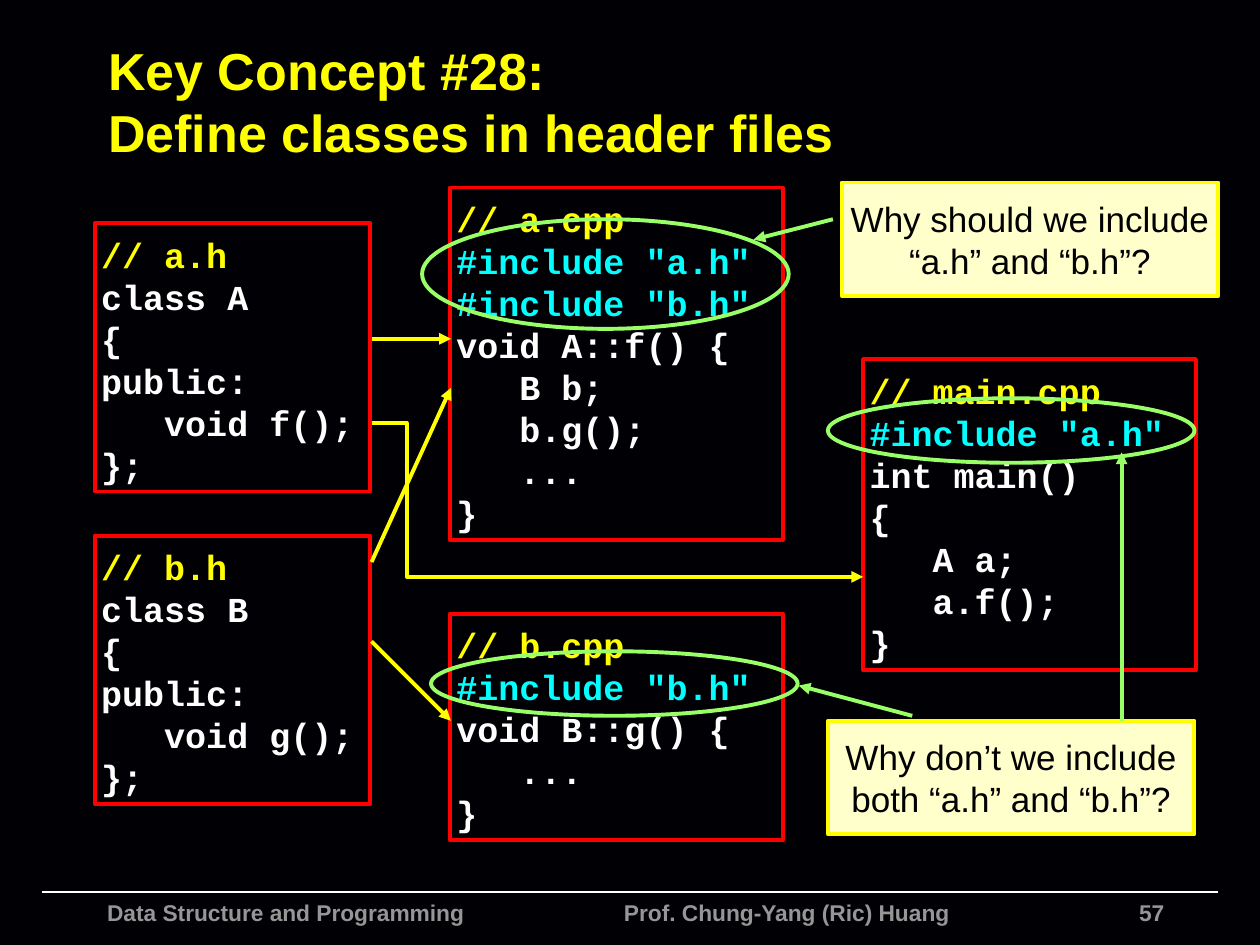
from dataclasses import dataclass

from lxml import etree
from pptx import Presentation
from pptx.dml.color import RGBColor
from pptx.enum.shapes import MSO_CONNECTOR, MSO_SHAPE
from pptx.enum.text import MSO_ANCHOR, PP_ALIGN
from pptx.oxml.ns import qn
from pptx.util import Cm, Pt

RECTANGLE, ELLIPSE = MSO_SHAPE.RECTANGLE, MSO_SHAPE.OVAL
STRAIGHT = MSO_CONNECTOR.STRAIGHT
TOP, MIDDLE, BOTTOM = MSO_ANCHOR.TOP, MSO_ANCHOR.MIDDLE, MSO_ANCHOR.BOTTOM
LEFT, CENTER, RIGHT = PP_ALIGN.LEFT, PP_ALIGN.CENTER, PP_ALIGN.RIGHT


@dataclass(frozen=True)
class Theme:
    background: str = "010004"
    yellow: str = "FFFF00"
    white: str = "FFFFFF"
    cyan: str = "00FFFF"
    red: str = "FF0000"
    green: str = "99FF66"
    cream: str = "FFFFCC"
    black: str = "000000"
    gray: str = "969696"
    sans: str = "Arial"
    mono: str = "Courier New"
    title_size: float = 29.7
    body_size: float = 20
    footer_size: float = 13
    title_pitch: float = 35.5
    body_pitch: float = 24
    outline: float = 2.25


THEME = Theme()


@dataclass(frozen=True)
class Box:
    """Left, top, width and height in centimetres."""
    left: float
    top: float
    width: float
    height: float

    def lengths(self) -> tuple:
        return Cm(self.left), Cm(self.top), Cm(self.width), Cm(self.height)


@dataclass(frozen=True)
class CodeFile:
    box: Box
    code: str


@dataclass(frozen=True)
class Callout:
    box: Box
    question: str


@dataclass(frozen=True)
class Arrow:
    start: tuple
    end: tuple
    color: str


FILE_WIDTH, HEADER_WIDTH, HEADER_HEIGHT = 6.71, 5.56, 5.41
HEADER_LEFT, SOURCE_LEFT = 1.91, 9.07
RING_WIDTH, RING_HEIGHT = 7.39, 1.3

CODE_FILES = [
    CodeFile(Box(HEADER_LEFT, 4.5, HEADER_WIDTH, HEADER_HEIGHT),
             "// a.h\nclass A\n{\npublic:\n   void f();\n};"),
    CodeFile(Box(HEADER_LEFT, 10.8, HEADER_WIDTH, HEADER_HEIGHT),
             "// b.h\nclass B\n{\npublic:\n   void g();\n};"),
    CodeFile(Box(SOURCE_LEFT, 3.78, FILE_WIDTH, 7.11),
             '// a.cpp\n#include "a.h"\n#include "b.h"\nvoid A::f() {\n'
             "   B b;\n   b.g();\n   ...\n}"),
    CodeFile(Box(SOURCE_LEFT, 12.37, FILE_WIDTH, 4.57),
             '// b.cpp\n#include "b.h"\nvoid B::g() {\n   ...\n}'),
    CodeFile(Box(17.4, 7.24, FILE_WIDTH, 6.27),
             '// main.cpp\n#include "a.h"\nint main()\n{\n   A a;\n   a.f();\n}'),
]
INCLUDE_ARROWS = [
    Arrow((7.49, 6.83), (9.09, 6.83), THEME.yellow),
    Arrow((7.49, 11.33), (9.09, 7.82), THEME.yellow),
    Arrow((7.49, 12.93), (9.09, 14.53), THEME.yellow),
]
MAIN_ROUTE = [(7.49, 8.53), (8.2, 8.53), (8.2, 11.63), (17.4, 11.63)]
CALLOUTS = [
    Callout(Box(16.97, 3.68, 7.59, 2.29), "Why should we include “a.h” and “b.h”?"),
    Callout(Box(16.69, 14.53, RING_WIDTH, 2.29),
            "Why don’t we include both “a.h” and “b.h”?"),
]
RINGS = [
    Box(8.51, 4.42, RING_WIDTH, 2.21),
    Box(8.69, 13.13, RING_WIDTH, RING_HEIGHT),
    Box(16.69, 8.03, RING_WIDTH, RING_HEIGHT),
]
QUESTION_ARROWS = [
    Arrow((16.79, 4.42), (15.19, 4.83), THEME.green),
    Arrow((18.39, 14.43), (16.1, 13.82), THEME.green),
    Arrow((22.61, 14.53), (22.61, 9.12), THEME.green),
]


def rgb(color: str) -> RGBColor:
    return RGBColor.from_string(color)


def add_run(paragraph, text: str, size: float, color: str, font: str, bold: bool) -> None:
    run = paragraph.add_run()
    run.text = text
    run.font.size, run.font.name, run.font.bold = Pt(size), font, bold
    run.font.color.rgb = rgb(color)


def set_frame(frame, anchor, side: float = 0.25) -> None:
    frame.word_wrap = True
    frame.vertical_anchor = anchor
    frame.margin_left = frame.margin_right = Cm(side)
    frame.margin_top = frame.margin_bottom = Cm(0.13)


def set_outline(shape, color: str, width: float = THEME.outline) -> None:
    shape.line.color.rgb = rgb(color)
    shape.line.width = Pt(width)


def add_arrowhead(shape) -> None:
    line = shape._element.spPr.find(qn("a:ln"))
    etree.SubElement(line, qn("a:tailEnd"), type="triangle")


def add_outlined(slide, kind, box: Box, color: str, fill: str | None = None):
    shape = slide.shapes.add_shape(kind, *box.lengths())
    shape.shadow.inherit = False
    if fill:
        shape.fill.solid()
        shape.fill.fore_color.rgb = rgb(fill)
    else:
        shape.fill.background()
    set_outline(shape, color)
    return shape


def add_line(slide, start: tuple, end: tuple, color: str, width: float = THEME.outline):
    connector = slide.shapes.add_connector(
        STRAIGHT, *(Cm(value) for value in start + end))
    set_outline(connector, color, width)
    etree.SubElement(connector._element.spPr, qn("a:effectLst"))
    return connector


def add_arrow(slide, arrow: Arrow) -> None:
    add_arrowhead(add_line(slide, arrow.start, arrow.end, arrow.color))


def add_route(slide, points: list) -> None:
    corners = [(Cm(x), Cm(y)) for x, y in points]
    builder = slide.shapes.build_freeform(*corners[0])
    builder.add_line_segments(corners[1:], close=False)
    shape = builder.convert_to_shape()
    shape.shadow.inherit = False
    shape.fill.background()
    set_outline(shape, THEME.yellow)
    add_arrowhead(shape)


def code_color(line: str) -> str:
    if line.startswith("//"):
        return THEME.yellow
    return THEME.cyan if line.startswith("#include") else THEME.white


def add_code_file(slide, file: CodeFile) -> None:
    frame = add_outlined(slide, RECTANGLE, file.box, THEME.red).text_frame
    set_frame(frame, BOTTOM, 0.13)
    for index, line in enumerate(file.code.split("\n")):
        paragraph = frame.add_paragraph() if index else frame.paragraphs[0]
        paragraph.alignment = LEFT
        paragraph.line_spacing = Pt(THEME.body_pitch)
        add_run(paragraph, line, THEME.body_size, code_color(line), THEME.mono, True)


def add_callout(slide, callout: Callout) -> None:
    shape = add_outlined(slide, RECTANGLE, callout.box, THEME.yellow, THEME.cream)
    set_frame(shape.text_frame, MIDDLE, 0.13)
    paragraph = shape.text_frame.paragraphs[0]
    paragraph.alignment = CENTER
    paragraph.line_spacing = Pt(THEME.body_pitch)
    add_run(paragraph, callout.question, THEME.body_size, THEME.black, THEME.sans, False)


def add_title(slide) -> None:
    title = slide.shapes.title
    title.left, title.top, title.width, title.height = Box(1.93, 0.74, 22.45, 2.57).lengths()
    set_frame(title.text_frame, MIDDLE)
    paragraph = title.text_frame.paragraphs[0]
    paragraph.alignment = LEFT
    paragraph.line_spacing = Pt(THEME.title_pitch)
    style = (THEME.title_size, THEME.yellow, THEME.sans, True)
    add_run(paragraph, "Key Concept #28: ", *style)
    paragraph.add_line_break()
    add_run(paragraph, "Define classes in header files", *style)


def add_footer_text(slide, box: Box, text: str, alignment):
    frame = slide.shapes.add_textbox(*box.lengths()).text_frame
    set_frame(frame, TOP)
    paragraph = frame.paragraphs[0]
    paragraph.alignment = alignment
    add_run(paragraph, text, THEME.footer_size, THEME.gray, THEME.sans, True)
    return paragraph


def add_footer(slide) -> None:
    add_line(slide, (0.84, 17.98), (24.56, 17.98), THEME.white, 1)
    add_footer_text(slide, Box(15.67, 17.98, 8.05, 0.46), "57", RIGHT)
    course = add_footer_text(
        slide, Box(1.91, 17.98, 18.39, 1.07),
        "Data Structure and Programming\tProf. Chung-Yang (Ric) Huang", LEFT)
    tabs = etree.SubElement(course._p.get_or_add_pPr(), qn("a:tabLst"))
    etree.SubElement(tabs, qn("a:tab"), pos=str(Cm(10.42)), algn="l")


def main() -> None:
    presentation = Presentation()
    presentation.slide_width, presentation.slide_height = Cm(25.4), Cm(19.05)
    slide = presentation.slides.add_slide(presentation.slide_layouts[5])
    slide.background.fill.solid()
    slide.background.fill.fore_color.rgb = rgb(THEME.background)
    add_footer(slide)
    add_title(slide)
    # Source files and what includes what
    for file in CODE_FILES:
        add_code_file(slide, file)
    for arrow in INCLUDE_ARROWS:
        add_arrow(slide, arrow)
    add_route(slide, MAIN_ROUTE)
    # Questions about the ringed include lines
    for callout in CALLOUTS:
        add_callout(slide, callout)
    for ring in RINGS:
        add_outlined(slide, ELLIPSE, ring, THEME.green)
    for arrow in QUESTION_ARROWS:
        add_arrow(slide, arrow)
    presentation.save("out.pptx")


if __name__ == "__main__":
    main()
